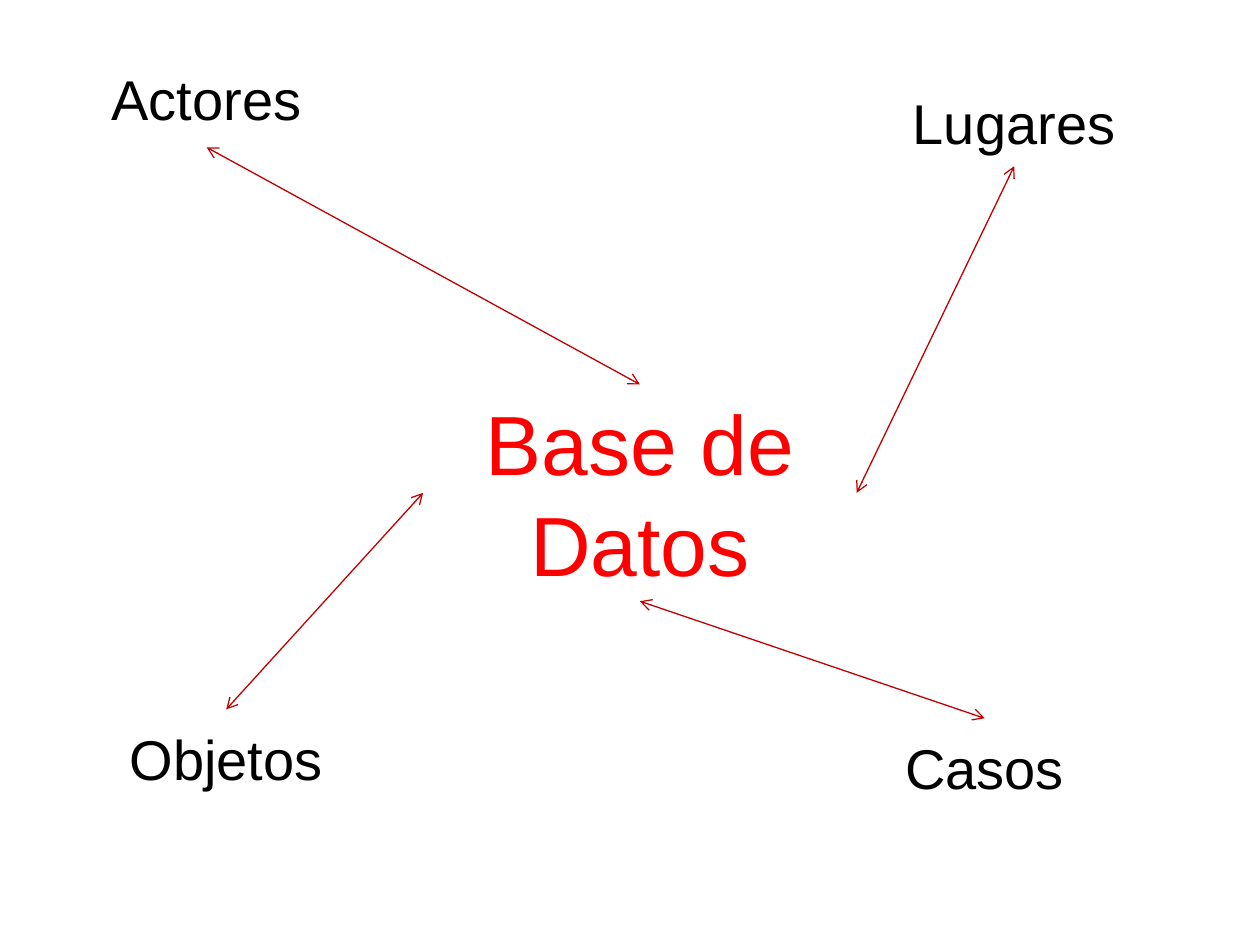
from lxml import etree
from pptx import Presentation
from pptx import util as u
from pptx.dml.color import RGBColor
from pptx.enum import shapes, text
from pptx.oxml import ns

BLACK = RGBColor(0x00, 0x00, 0x00)
RED = RGBColor(0xFF, 0x00, 0x00)
DARK_RED = RGBColor(0xC0, 0x00, 0x00)

TOP, LEFT, BOTTOM, RIGHT = range(4)

TOPIC_FORMAT = {"name": "Arial", "size": u.Pt(32)}
CENTRE_FORMAT = {"name": "Arial", "size": u.Pt(48)}

CENTRE = ("Base de Datos", (8.53, 7.75, 8.74, 4.37))
TOPICS = [
    ("Actores", (0, 0.99, 8.33, 1.98), BOTTOM, TOP),
    ("Lugares", (16.28, 1.57, 8.33, 1.78), BOTTOM, RIGHT),
    ("Objetos", (0.79, 14.3, 7.54, 1.98), TOP, LEFT),
    ("Casos", (16.08, 14.48, 7.54, 1.98), TOP, BOTTOM),
]


def add_label(slide, wording, box, font_format, color):
    shape = slide.shapes.add_textbox(*(u.Cm(length) for length in box))
    frame = shape.text_frame
    frame_format = {"word_wrap": True, "vertical_anchor": text.MSO_ANCHOR.MIDDLE}
    for name, value in frame_format.items():
        setattr(frame, name, value)
    paragraph = frame.paragraphs[0]
    paragraph.alignment = text.PP_ALIGN.CENTER
    run = paragraph.add_run()
    run.text = wording
    for name, value in font_format.items():
        setattr(run.font, name, value)
    run.font.color.rgb = color
    return shape


def add_double_arrow(slide, topic, topic_side, centre, centre_side):
    connector = slide.shapes.add_connector(
        shapes.MSO_CONNECTOR.STRAIGHT, 0, 0, 0, 0)
    connector.begin_connect(topic, topic_side)
    connector.end_connect(centre, centre_side)
    connector.line.color.rgb = DARK_RED
    connector.line.width = u.Pt(0.75)
    line = connector.line._get_or_add_ln()
    for end in ("a:headEnd", "a:tailEnd"):
        etree.SubElement(line, ns.qn(end), type="arrow")
    etree.SubElement(connector._element.spPr, ns.qn("a:effectLst"))


def add_concept_map(slide, left, top):
    def place(box):
        return (left + box[0], top + box[1], *box[2:])

    wording, box = CENTRE
    centre = add_label(slide, wording, place(box), CENTRE_FORMAT, RED)
    for wording, box, topic_side, centre_side in TOPICS:
        topic = add_label(slide, wording, place(box), TOPIC_FORMAT, BLACK)
        add_double_arrow(slide, topic, topic_side, centre, centre_side)


def main():
    presentation = Presentation()
    presentation.slide_width = u.Cm(25.4)
    presentation.slide_height = u.Cm(19.05)
    slide = presentation.slides.add_slide(presentation.slide_layouts[6])
    add_concept_map(slide, 0, 0)
    presentation.save("out.pptx")


if __name__ == "__main__":
    main()
